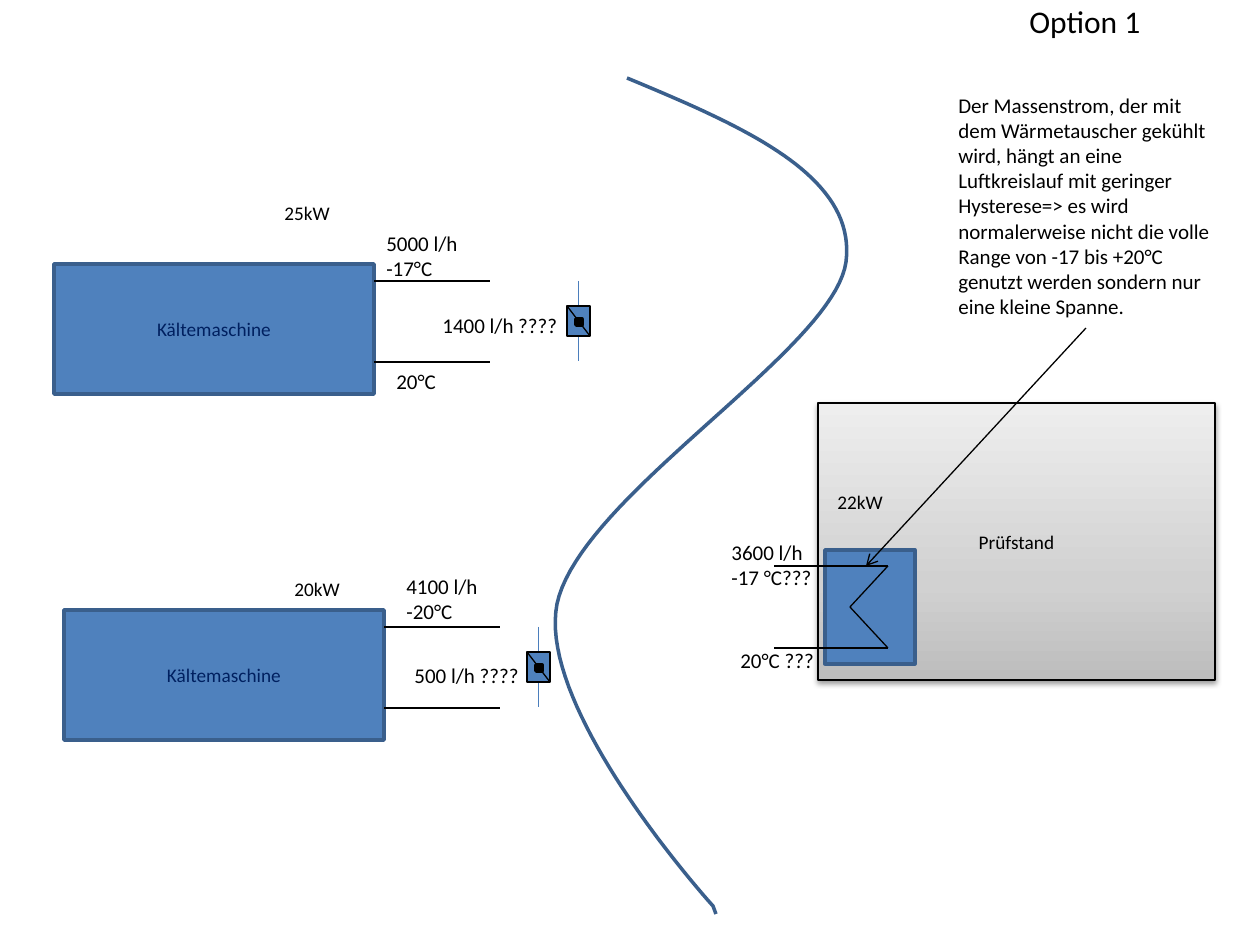
from copy import deepcopy
from dataclasses import dataclass

from lxml.etree import SubElement
from pptx import Presentation
from pptx.dml.color import RGBColor
from pptx.enum.shapes import MSO_CONNECTOR, MSO_SHAPE
from pptx.enum.text import MSO_ANCHOR, MSO_AUTO_SIZE, PP_ALIGN
from pptx.oxml.ns import qn
from pptx.util import Pt


@dataclass(frozen=True)
class Theme:
    font: str = "Calibri"
    black: str = "000000"
    navy: str = "002060"
    blue: str = "4F81BD"
    outline: str = "3A5F8C"
    pump_line: str = "4B7EBC"
    gradient: tuple = ((0, "BDBDBD"), (0.35, "D1D1D1"), (1, "EEEEEE"))
    small: int = 11
    body: int = 12
    title: int = 18
    thin: float = 0.75
    thick: float = 2


THEME = Theme()
EMU_PER_PIXEL = 914400 / 126


def emu(pixels):
    return round(pixels * EMU_PER_PIXEL)


def apply_format(target, values):
    for name, value in values.items():
        setattr(target, name, value)


def format_line(line, color, width):
    line.fill.solid()
    line.fill.fore_color.rgb = RGBColor.from_string(color)
    line.width = Pt(width)


def write_text(shape, text, size, color=THEME.black, alignment=PP_ALIGN.LEFT, **frame_format):
    frame = shape.text_frame
    apply_format(frame, {"word_wrap": True, "text": text, **frame_format})
    for paragraph in frame.paragraphs:
        paragraph.alignment = alignment
        apply_format(paragraph.font, {"name": THEME.font, "size": Pt(size)})
        paragraph.font.color.rgb = RGBColor.from_string(color)


def add_label(shapes, box, text, size=THEME.body):
    label = shapes.add_textbox(*map(emu, box))
    write_text(label, text, size, auto_size=MSO_AUTO_SIZE.SHAPE_TO_FIT_TEXT)


def add_box(shapes, box, fill=THEME.blue, outline=THEME.outline, width=THEME.thick):
    shape = shapes.add_shape(MSO_SHAPE.RECTANGLE, *map(emu, box))
    shape.shadow.inherit = False
    shape.fill.solid()
    shape.fill.fore_color.rgb = RGBColor.from_string(fill)
    format_line(shape.line, outline, width)
    return shape


def add_line(shapes, start, end, color=THEME.black):
    connector = shapes.add_connector(MSO_CONNECTOR.STRAIGHT, *map(emu, start + end))
    format_line(connector.line, color, THEME.thin)
    SubElement(connector._element.spPr, qn("a:effectLst"))
    return connector


def add_chiller(shapes, box, labels):
    left, top, width, height = box
    chiller = add_box(shapes, box)
    write_text(chiller, "Kältemaschine", THEME.small, THEME.navy, PP_ALIGN.CENTER,
               vertical_anchor=MSO_ANCHOR.MIDDLE)
    right = left + width
    for y in (top + 17, top + 98):
        add_line(shapes, (right + 116, y), (right, y))
    for x, y, label_width, label_height, text, size in labels:
        add_label(shapes, (left + x, top + y, label_width, label_height), text, size)


def add_pump(shapes, box):
    left, top, width, height = box
    group = shapes.add_group_shape().shapes
    center = left + width / 2
    body_top, body_height = top + 25, 30
    add_line(group, (center, top), (center, top + height), THEME.pump_line)
    add_box(group, (left, body_top, width, body_height), outline=THEME.black, width=THEME.thin)
    add_line(group, (left, body_top), (left + width, body_top + body_height))
    add_box(group, (left + 9, body_top + 13, 6, 6), THEME.black, THEME.black)


def add_gradient_and_shadow(shape):
    shape.fill.gradient()
    shape.fill.gradient_angle = 90
    stops = shape._element.spPr.find(qn("a:gradFill")).find(qn("a:gsLst"))
    stops.append(deepcopy(stops[-1]))
    for stop, (position, color) in zip(shape.fill.gradient_stops, THEME.gradient):
        stop.position = position
        stop.color.rgb = RGBColor.from_string(color)
    effects = shape._element.spPr.find(qn("a:effectLst"))
    shadow = SubElement(effects, qn("a:outerShdw"), blurRad="40000", dist="20000",
                        dir="5400000", rotWithShape="0")
    color = SubElement(shadow, qn("a:srgbClr"), val=THEME.black)
    SubElement(color, qn("a:alpha"), val="38000")


def add_heat_exchanger(shapes, box):
    left, top, width, height = box
    group = shapes.add_group_shape().shapes
    add_box(group, box)
    apex = (left + 25, top + 57)
    for y in (top + 16, top + 98):
        corner = (left + 63, y)
        add_line(group, corner, (left - 51, y))
        add_line(group, corner, apex)


def add_test_bench(shapes, box):
    left, top, width, height = box
    bench = add_box(shapes, box, outline=THEME.black, width=THEME.thin)
    add_gradient_and_shadow(bench)
    write_text(bench, "Prüfstand", THEME.small, alignment=PP_ALIGN.CENTER,
               vertical_anchor=MSO_ANCHOR.MIDDLE)
    add_heat_exchanger(shapes, (left + 7, top + 147, 90, 114))
    add_label(shapes, (left + 7, top + 81, 122, 82), "22kW", THEME.small)
    add_label(shapes, (left - 99, top + 130, 146, 63), "3600 l/h\n-17 °C???")
    add_label(shapes, (left - 90, top + 238, 137, 38), "20°C ???")


def bezier_points(start, first, second, end, steps=40):
    for step in range(1, steps + 1):
        t = step / steps
        weights = ((1 - t) ** 3, 3 * t * (1 - t) ** 2, 3 * t ** 2 * (1 - t), t ** 3)
        yield tuple(sum(weight * value for weight, value in zip(weights, axis))
                    for axis in zip(start, first, second, end))


def add_divider(shapes, box):
    left, top, width, height = box
    segments = (
        ((72, 0), (187, 48), (302, 97), (291, 184)),
        ((291, 184), (279, 272), (25, 418), (2, 526)),
        ((2, 526), (-19, 633), (158, 828), (158, 828)),
    )
    points = [segments[0][0]]
    for segment in segments:
        points.extend(bezier_points(*segment))
    points.append((161, height))
    outline = [(emu(left + x), emu(top + y)) for x, y in points]
    builder = shapes.build_freeform(*outline[0], scale=1.0)
    builder.add_line_segments(outline[1:], close=False)
    divider = builder.convert_to_shape()
    divider.shadow.inherit = False
    divider.fill.background()
    format_line(divider.line, THEME.outline, THEME.thick)


def add_note(shapes, box):
    left, top, width, height = box
    add_label(shapes, box, "Der Massenstrom, der mit dem Wärmetauscher gekühlt wird, hängt an eine "
              "Luftkreislauf mit geringer Hysterese=> es wird normalerweise nicht die volle Range "
              "von -17 bis +20°C genutzt werden sondern nur eine kleine Spanne.")
    bottom = top + height
    arrow = add_line(shapes, (left + 140, bottom), (left - 80, bottom + 238))
    SubElement(arrow.line._get_or_add_ln(), qn("a:tailEnd"), type="arrow")


def build_slide(presentation):
    shapes = presentation.slides.add_slide(presentation.slide_layouts[6]).shapes
    add_test_bench(shapes, (818, 403, 397, 277))
    add_chiller(shapes, (54, 264, 320, 130), (
        (218, -69, 122, 82, "25kW", THEME.small),
        (320, -40, 126, 63, "5000 l/h\n-17°C", THEME.body),
        (376, 42, 158, 38, "1400 l/h ????", THEME.body),
        (330, 98, 137, 38, "20°C", THEME.body),
    ))
    add_pump(shapes, (567, 281, 23, 80))
    add_divider(shapes, (555, 78, 291, 836))
    add_chiller(shapes, (64, 610, 320, 130), (
        (218, -39, 122, 37, "20kW", THEME.small),
        (330, -43, 126, 63, "4100 l/h\n-20°C", THEME.body),
        (338, 46, 158, 38, "500 l/h ????", THEME.body),
    ))
    add_note(shapes, (946, 86, 278, 242))
    add_pump(shapes, (527, 627, 23, 80))
    add_label(shapes, (1017, -4, 243, 50), "Option 1", THEME.title)


presentation = Presentation()
apply_format(presentation, {"slide_width": emu(1260), "slide_height": emu(945)})
build_slide(presentation)
presentation.save("out.pptx")
